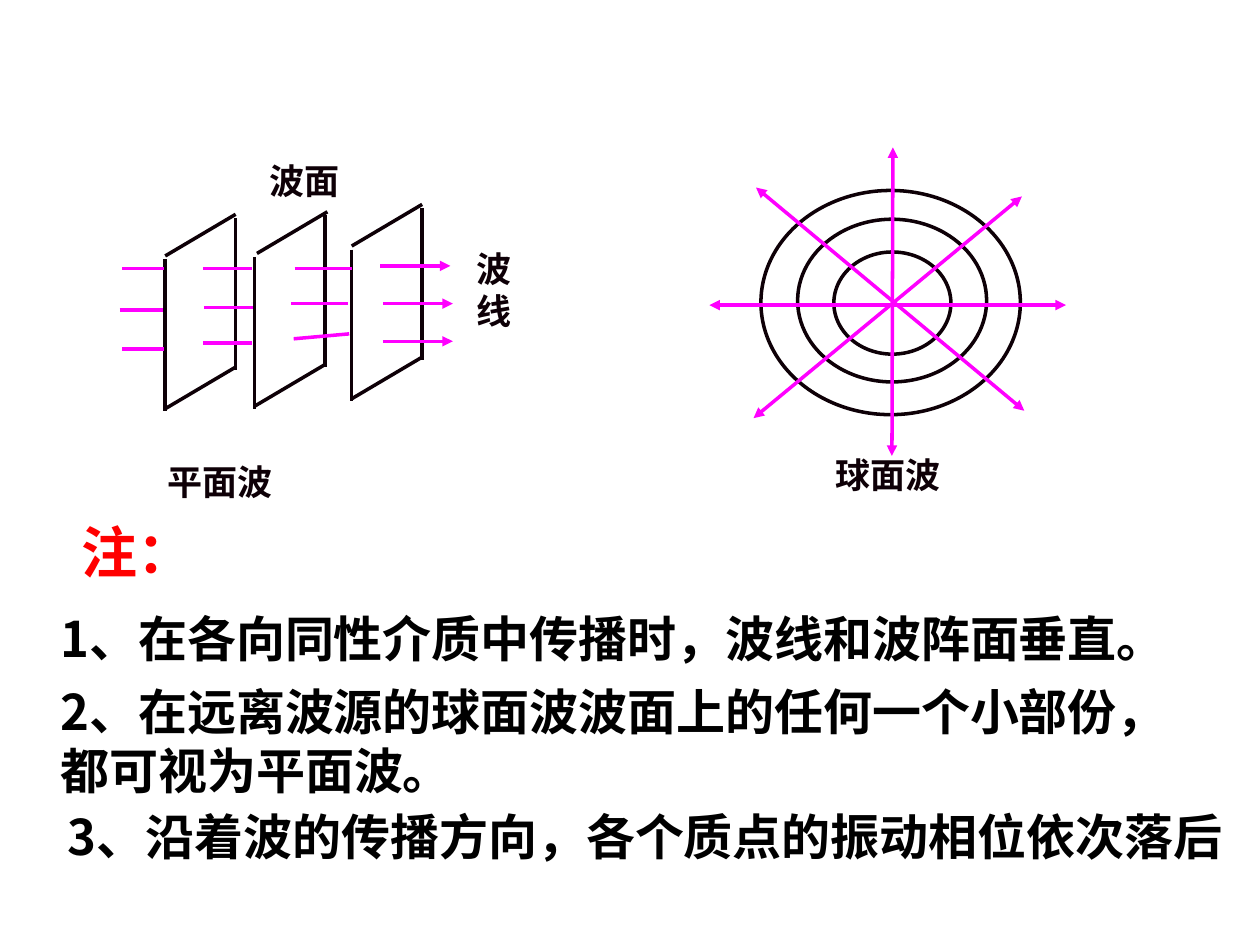
from lxml import etree
from pptx import Presentation
from pptx import util as u
from pptx.dml.color import RGBColor
from pptx.enum import shapes, text
from pptx.oxml.ns import qn

COLORS = {"ink": "0E0007", "ray": "FF00FF", "note": "FF0000", "body": "000000"}
FONT = "Noto Sans CJK SC"


class Deck:
    """Holds the style and the current slide; lengths are centimetres."""

    def __init__(self, slide, font=FONT, width=2):
        self.slide, self.font, self.width = slide, font, width

    def paint(self, line, color):
        line.color.rgb = RGBColor.from_string(COLORS[color])
        line.width = u.Pt(self.width)

    def line(self, x1, y1, x2, y2, color="ink", ends=()):
        item = self.slide.shapes.add_connector(
            shapes.MSO_CONNECTOR.STRAIGHT, *map(u.Cm, (x1, y1, x2, y2)))
        self.paint(item.line, color)
        props = item._element.spPr
        for end in ends:
            etree.SubElement(props.find(qn("a:ln")), qn(f"a:{end}"), type="triangle")
        etree.SubElement(props, qn("a:effectLst"))

    def ring(self, x, y, w, h):
        item = self.slide.shapes.add_shape(
            shapes.MSO_SHAPE.OVAL, *map(u.Cm, (x, y, w, h)))
        item.shadow.inherit = False
        item.fill.background()
        self.paint(item.line, "ink")

    def label(self, words, x, y, w, h, size=20, color="ink", pad=(0.03, 0.03),
              align=text.PP_ALIGN.JUSTIFY, wrap=True):
        frame = self.slide.shapes.add_textbox(*map(u.Cm, (x, y, w, h))).text_frame
        frame.word_wrap = wrap
        frame.margin_left = frame.margin_right = u.Cm(pad[0])
        frame.margin_top = frame.margin_bottom = u.Cm(pad[1])
        para = frame.paragraphs[0]
        para.alignment = align
        para.line_spacing = u.Pt(size * 1.2)
        run = para.add_run()
        run.text = words
        run.font.size, run.font.bold = u.Pt(size), True
        run.font.name = self.font
        run.font.color.rgb = RGBColor.from_string(COLORS[color])
        etree.SubElement(run.font._element, qn("a:ea"), typeface=self.font)

    def plane(self, x, y, shift=0, wide=1.42, rise=0.84, tall=3.06):
        right = x + wide
        self.line(x, y, x, y + tall)
        self.line(right, y - rise, right, y - rise + tall)
        for dx, edge in ((shift, y - 0.07), (0, y + tall - 0.05)):
            self.line(x + dx, edge, right + dx, edge - rise)


def main():
    show = Presentation()
    show.slide_width, show.slide_height = u.Cm(25.4), u.Cm(19.05)
    deck = Deck(show.slides.add_slide(show.slide_layouts[6]))

    # Plane wave: wave fronts
    for x, y, shift in ((3.33, 5.23, 0), (5.13, 5.18, 0.05), (7.09, 5.03, 0)):
        deck.plane(x, y, shift)

    # Plane wave: rays between the fronts, then the outgoing arrows
    for x1, y1, x2, y2 in (
            (2.46, 5.41, 3.3, 5.41), (4.09, 5.41, 5.08, 5.41), (5.94, 5.41, 7.09, 5.41),
            (2.41, 6.25, 3.28, 6.25), (4.11, 6.2, 5.11, 6.2), (5.87, 6.12, 7.01, 6.12),
            (2.46, 7.04, 3.3, 7.04), (4.09, 6.91, 5.08, 6.91), (5.92, 6.83, 7.04, 6.73)):
        deck.line(x1, y1, x2, y2, "ray")
    for x, y in ((7.67, 5.36), (7.72, 6.12), (7.72, 6.88)):
        deck.line(x, y, x + 1.41, y, "ray", ["tailEnd"])

    # Plane wave: labels
    deck.label("平面波", 3.35, 9.25, 3.38, 0.91)
    deck.label("波线", 9.58, 4.95, 1.45, 0.99)
    deck.label("波面", 5.41, 3.18, 2.31, 1.37)

    # Spherical wave: fronts, rays and label
    for ring in ((16.81, 5.08, 2.36, 2.06), (16.08, 4.42, 3.81, 3.28),
                 (15.34, 3.84, 5.23, 4.52)):
        deck.ring(*ring)
    for ray in ((14.3, 6.15, 21.49, 6.15), (17.98, 9.19, 18.0, 2.97),
                (15.24, 3.78, 20.65, 8.28), (20.6, 3.96, 15.19, 8.43)):
        deck.line(*ray, "ray", ["headEnd", "tailEnd"])
    deck.label("球面波", 16.81, 9.12, 4.29, 1.02)

    # Notes
    style = dict(pad=(0.25, 0.13), align=text.PP_ALIGN.LEFT)
    deck.label("注：", 1.4, 10.31, 2.77, 1.63, size=32, color="note", wrap=False, **style)
    for words, x, y, w, h in (
            ("1、在各向同性介质中传播时，波线和波阵面垂直。", 0.97, 12.14, 24.56, 1.45),
            ("2、在远离波源的球面波波面上的任何一个小部份，都可视为平面波。",
             0.97, 13.61, 23.5, 2.64),
            ("3、沿着波的传播方向，各个质点的振动相位依次落后", 1.12, 16.13, 23.98, 1.45)):
        deck.label(words, x, y, w, h, size=28, color="body", **style)

    show.save("out.pptx")


if __name__ == "__main__":
    main()
